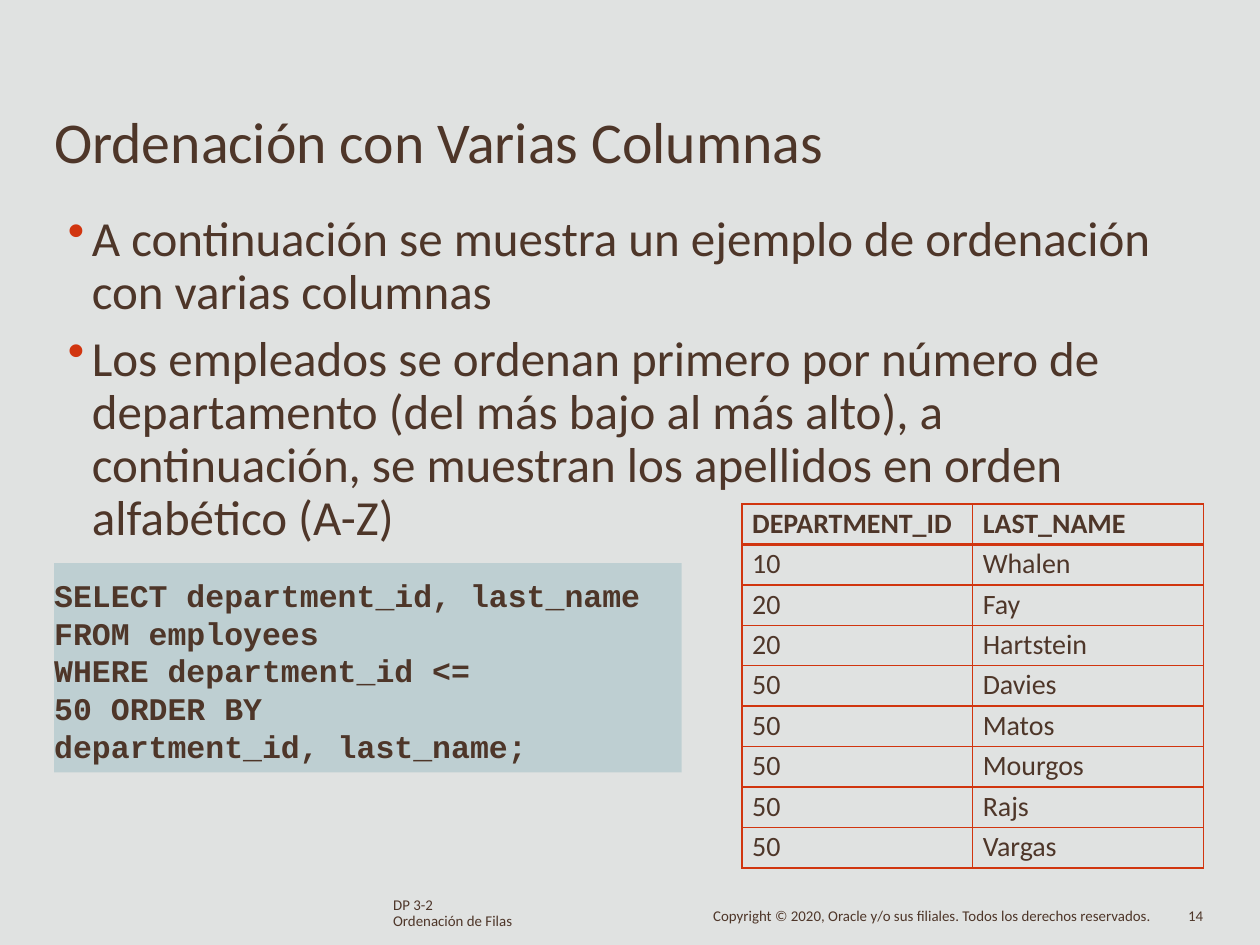
from lxml import etree
from pptx import Presentation
from pptx.dml.color import RGBColor
from pptx.enum.shapes import MSO_SHAPE
from pptx.enum.text import MSO_ANCHOR, PP_ALIGN
from pptx.oxml.ns import qn
from pptx.util import Inches, Pt

RECT = MSO_SHAPE.RECTANGLE
TOP = MSO_ANCHOR.TOP
LEFT = PP_ALIGN.LEFT
BROWN = RGBColor(0x4E, 0x36, 0x29)
RED = RGBColor(0xD1, 0x35, 0x0F)
TEAL = RGBColor(0x9D, 0xBE, 0xC4)
GRAY = RGBColor(0xE0, 0xE2, 0xE1)

TITLE = "Ordenación con Varias Columnas"
POINTS = [
    "A continuación se muestra un ejemplo de ordenación con varias columnas",
    "Los empleados se ordenan primero por número de departamento "
    "(del más bajo al más alto), a continuación, se muestran los apellidos "
    "en orden alfabético (A-Z)",
]
CODE = [
    "SELECT department_id, last_name\vFROM employees",
    "WHERE department_id <=\v50 ORDER BY\vdepartment_id, last_name;",
]
ROWS = [
    ("DEPARTMENT_ID", "LAST_NAME"),
    ("10", "Whalen"),
    ("20", "Fay"),
    ("20", "Hartstein"),
    ("50", "Davies"),
    ("50", "Matos"),
    ("50", "Mourgos"),
    ("50", "Rajs"),
    ("50", "Vargas"),
]
RIGHTS = "Copyright © 2020, Oracle y/o sus filiales. Todos los derechos reservados."


def add(node, tag, **attrs):
    return etree.SubElement(node, qn(tag), attrs)


class Deck:
    def __init__(self, slide):
        self.slide = slide
        self.base = {"name": "Calibri", "size": Pt(8.5), "bold": False}
        fill = slide.background.fill
        fill.solid()
        fill.fore_color.rgb = GRAY

    def style(self, para, **look):
        for key, value in {**self.base, **look}.items():
            setattr(para.font, key, value)
        para.font.color.rgb = BROWN
        para.alignment = LEFT

    def fill_in(self, frame, lines, inset=0, lead=None, gap=0, dots=False, **look):
        edges = {"margin_left": 0, "margin_right": 0, "margin_bottom": 0,
                 "margin_top": Inches(inset), "word_wrap": True,
                 "vertical_anchor": TOP}
        for key, value in edges.items():
            setattr(frame, key, value)
        for spot, line in enumerate(lines):
            para = frame.paragraphs[0] if spot == 0 else frame.add_paragraph()
            para.text = line
            if lead:
                para.line_spacing = Pt(lead)
            if spot:
                para.space_before = Pt(gap)
            if dots:
                self.bullet(para)
            self.style(para, **look)

    def bullet(self, para):
        props = para._p.get_or_add_pPr()
        props.set("marL", str(Inches(0.2)))
        props.set("indent", str(-Inches(0.19)))
        add(add(props, "a:buClr"), "a:srgbClr", val=str(RED))
        add(props, "a:buChar", char="•")

    def text(self, box, lines, **look):
        shape = self.slide.shapes.add_textbox(*map(Inches, box))
        self.fill_in(shape.text_frame, lines, **look)

    def panel(self, box, lines, **look):
        shape = self.slide.shapes.add_shape(RECT, *map(Inches, box))
        shape.shadow.inherit = False
        shape.fill.solid()
        shape.fill.fore_color.rgb = TEAL
        tint = shape._element.spPr.find(".//" + qn("a:srgbClr"))
        add(tint, "a:alpha", val="50000")
        shape.line.fill.background()
        self.fill_in(shape.text_frame, lines, **look)

    def border(self, cell, widths):
        props = cell._tc.get_or_add_tcPr()
        for spot, (side, width) in enumerate(widths.items()):
            line = etree.Element(qn("a:ln" + side), w=str(Pt(width)))
            add(add(line, "a:solidFill"), "a:srgbClr", val=str(RED))
            props.insert(spot, line)

    def table(self, box, rows):
        size = len(rows), len(rows[0])
        grid = self.slide.shapes.add_table(*size, *map(Inches, box)).table
        for r, row in enumerate(rows):
            for c, word in enumerate(row):
                cell = grid.cell(r, c)
                self.fill_in(cell.text_frame, [word], size=Pt(16), bold=r == 0)
                edges = {"margin_left": Inches(0.08), "margin_right": 0,
                         "margin_top": Inches(0.02), "margin_bottom": 0,
                         "vertical_anchor": TOP}
                for key, value in edges.items():
                    setattr(cell, key, value)
                cell.fill.background()
                self.border(cell, {"L": 1, "R": 1, "T": 2.25 if r == 1 else 1,
                                   "B": 2.25 if r == 0 else 1})


def main():
    prs = Presentation()
    prs.slide_width, prs.slide_height = Inches(10), Inches(7.5)
    deck = Deck(prs.slides.add_slide(prs.slide_layouts[6]))
    deck.text((0.43, 0.82, 6.58, 0.58), [TITLE], inset=0.02, size=Pt(33))
    deck.text((3.12, 7.12, 0.98, 0.27), ["DP 3-2", "Ordenación de Filas"], lead=9.2)
    deck.text((5.66, 7.21, 3.52, 0.15), [RIGHTS], lead=9.1)
    deck.text((9.43, 7.21, 0.19, 0.15), ["14"], lead=9.1)
    deck.text((0.53, 1.55, 8.63, 2.71), POINTS, inset=0.14, lead=30.3, gap=8,
              dots=True, size=Pt(28))
    deck.table((5.89, 4, 3.66, 2.89), ROWS)
    deck.panel((0.43, 4.47, 4.98, 1.66), CODE, inset=0.1, name="Courier New",
               size=Pt(18), bold=True)
    prs.save("out.pptx")


if __name__ == "__main__":
    main()
